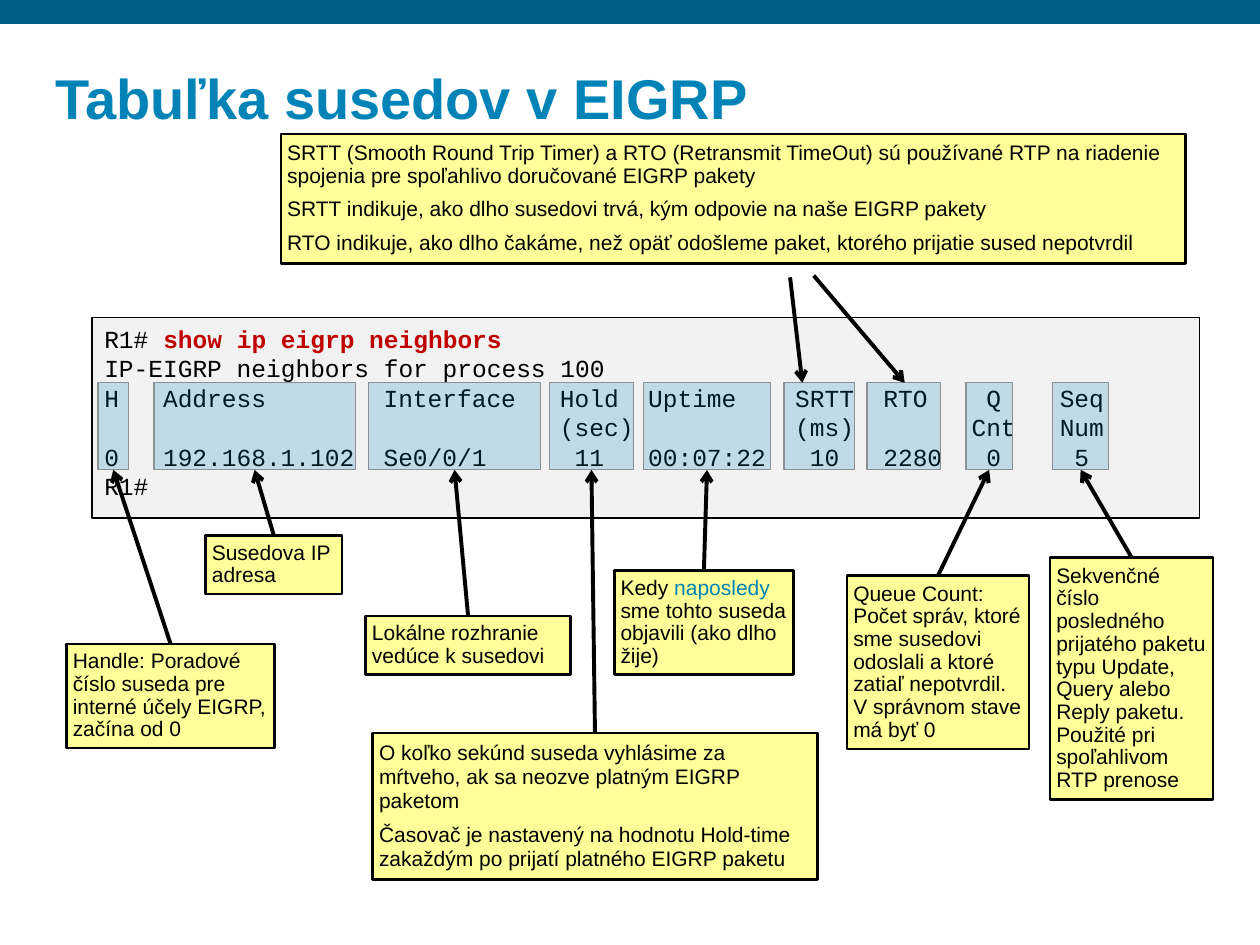
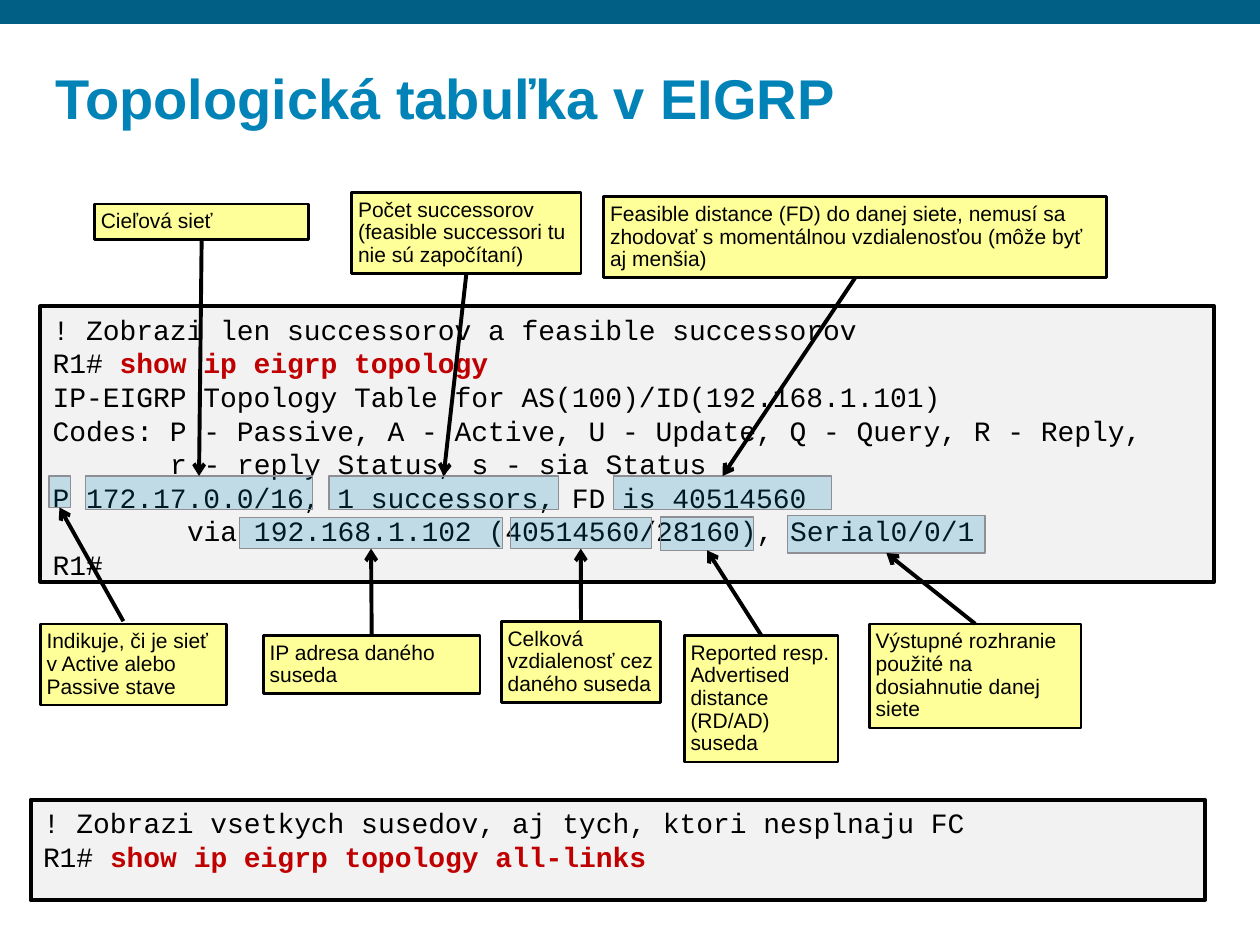
from lxml import etree
from pptx import Presentation
from pptx.dml.color import RGBColor
from pptx.enum.shapes import MSO_CONNECTOR, MSO_SHAPE
from pptx.enum.text import MSO_ANCHOR, MSO_AUTO_SIZE, PP_ALIGN
from pptx.oxml.ns import qn
from pptx.util import Pt

RECT = MSO_SHAPE.RECTANGLE
STRAIGHT = MSO_CONNECTOR.STRAIGHT
TOP, MIDDLE, BOTTOM = MSO_ANCHOR.TOP, MSO_ANCHOR.MIDDLE, MSO_ANCHOR.BOTTOM
LEFT = PP_ALIGN.LEFT
FIT, NO_FIT = MSO_AUTO_SIZE.SHAPE_TO_FIT_TEXT, MSO_AUTO_SIZE.NONE
SITE_TOP, SITE_BOTTOM = 0, 2  # connection sites of a rectangle

BLACK = RGBColor(0x00, 0x00, 0x00)
BAND = RGBColor(0x01, 0x5F, 0x85)
BLUE = RGBColor(0x01, 0x83, 0xB7)
RED = RGBColor(0xC0, 0x00, 0x00)
GREY = RGBColor(0x8E, 0x8E, 0x95)
PAPER = RGBColor(0xF2, 0xF2, 0xF2)
YELLOW = RGBColor(0xFF, 0xFF, 0x99)
SANS, MONO = "Arial", "Courier New"
CHAR_WIDTH = 0.6  # monospaced advance, in ems


class Deck:
    """Holds the shared style and the current slide."""

    def __init__(self):
        self.prs = Presentation()
        self.prs.slide_width, self.prs.slide_height = Pt(720), Pt(540)
        self.layout = self.prs.slide_layouts[5]
        self.s = None

    def slide(self, title):
        first = self.s is None
        self.s = self.prs.slides.add_slide(self.layout)
        if first:  # the band belongs to the layout, so every slide shows it
            band = self.box((0, 0, 720, 13.7), BAND)
            self.layout.shapes.element.append(band.element)
        sp = self.s.shapes.title
        sp.left, sp.top, sp.width, sp.height = Pt(25), Pt(24), Pt(669), Pt(54)
        tf = self.frame(sp, BOTTOM, 6.5, 3)
        tf.auto_size = NO_FIT
        p = tf.paragraphs[0]
        p.alignment, p.line_spacing = LEFT, 0.9
        self.run(p, title, SANS, 32, BLUE, True)

    def box(self, at, fill, line=None, weight=0.75):
        sp = self.s.shapes.add_shape(RECT, *map(Pt, at))
        sp.shadow.inherit = False
        sp.fill.solid()
        sp.fill.fore_color.rgb = fill
        if line is None:
            sp.line.fill.background()
        else:
            sp.line.color.rgb, sp.line.width = line, Pt(weight)
        return sp

    def frame(self, sp, anchor, side, edge):
        tf = sp.text_frame
        tf.word_wrap, tf.vertical_anchor = True, anchor
        tf.margin_left = tf.margin_right = Pt(side)
        tf.margin_top = tf.margin_bottom = Pt(edge)
        return tf

    def paragraphs(self, tf, items):
        for i, item in enumerate(items):
            p = tf.add_paragraph() if i else tf.paragraphs[0]
            p.alignment = LEFT
            yield i, p, item

    def run(self, p, text, font, size, color=BLACK, bold=False):
        r = p.add_run()
        r.text = text
        r.font.name, r.font.size, r.font.bold = font, Pt(size), bold
        r.font.color.rgb = color

    def terminal(self, at, size, weight, lines):
        """A line is plain text, a (prompt, command) pair or a list of (column, text)."""
        sp = self.box(at, PAPER, BLACK, weight)
        tf = self.frame(sp, TOP, 7.2, 3.6)
        for _, p, line in self.paragraphs(tf, lines):
            if isinstance(line, tuple):
                self.run(p, line[0], MONO, size)
                self.run(p, line[1], MONO, size, RED, True)
            elif isinstance(line, list):
                self.tab_stops(p, [col * CHAR_WIDTH * size for col, _ in line if col])
                text = "".join("\t" * (col > 0) + word for col, word in line)
                self.run(p, text, MONO, size)
            else:
                self.run(p, line, MONO, size)

    def tab_stops(self, p, stops):
        pPr = p._p.get_or_add_pPr()
        tabs = etree.SubElement(pPr, qn("a:tabLst"))
        for stop in stops:
            etree.SubElement(tabs, qn("a:tab"), pos=str(Pt(stop)), algn="l")

    def highlight(self, at):
        sp = self.box(at, BLUE, GREY)
        color = sp.fill._xPr.find(qn("a:solidFill"))[0]
        etree.SubElement(color, qn("a:alpha"), val="20000")
        return sp

    def note(self, at, *texts, spacing=0.9):
        """A text is a string or a list of (text, colour) runs."""
        sp = self.box(at, YELLOW, BLACK, 1.5)
        tf = self.frame(sp, MIDDLE, 3.6, 3.6)
        tf.auto_size = FIT
        for i, p, text in self.paragraphs(tf, texts):
            p.line_spacing = spacing
            if i:
                p.space_before = Pt(6)
            for part, color in [(text, BLACK)] if isinstance(text, str) else text:
                self.run(p, part, SANS, 12, color)
        return sp

    def arrow(self, x1, y1, x2, y2):
        c = self.s.shapes.add_connector(STRAIGHT, *map(Pt, (x1, y1, x2, y2)))
        c.line.color.rgb, c.line.width = BLACK, Pt(2.25)
        ln = c.line._get_or_add_ln()
        etree.SubElement(ln, qn("a:tailEnd"), type="arrow")
        etree.SubElement(c.element.spPr, qn("a:effectLst"))
        return c

    def link(self, note, target):
        """Arrow glued to the facing edges of a note and its target."""
        below = note.top > target.top
        c = self.arrow(0, 0, 10, 10)
        c.begin_connect(note, SITE_TOP if below else SITE_BOTTOM)
        c.end_connect(target, SITE_BOTTOM if below else SITE_TOP)


d = Deck()

# Slide 1: neighbour table
d.slide("Tabuľka susedov v EIGRP")
d.terminal((52.5, 181.5, 633, 114.5), 14, 0.75, [
    ("R1# ", "show ip eigrp neighbors"),
    "IP-EIGRP neighbors for process 100",
    [(0, "H"), (4, "Address"), (19, "Interface"), (31, "Hold"), (37, "Uptime"),
     (47, "SRTT"), (53, "RTO"), (60, "Q"), (65, "Seq")],
    [(31, "(sec)"), (47, "(ms)"), (59, "Cnt"), (65, "Num")],
    [(0, "0"), (4, "192.168.1.102"), (19, "Se0/0/1"), (32, "11"), (37, "00:07:22"),
     (48, "10"), (53, "2280"), (60, "0"), (66, "5")],
    "R1#",
])

# Highlighted columns: left and width
COLUMNS = {
    "handle": (56, 17.5), "address": (88, 115), "interface": (210.5, 98.5),
    "hold": (314, 48), "uptime": (367.5, 73), "srtt": (448, 40.5),
    "rto": (495.5, 42), "queue": (552, 26.5), "seq": (601.5, 32),
}
column = {name: d.highlight((x, 218.75, w, 49.75)) for name, (x, w) in COLUMNS.items()}

# Notes on the columns
d.note((160.5, 76.5, 517, 74),
       "SRTT (Smooth Round Trip Timer) a RTO (Retransmit TimeOut) sú používané RTP "
       "na riadenie spojenia pre spoľahlivo doručované EIGRP pakety",
       "SRTT indikuje, ako dlho susedovi trvá, kým odpovie na naše EIGRP pakety",
       "RTO indikuje, ako dlho čakáme, než opäť odošleme paket, ktorého prijatie "
       "sused nepotvrdil")
hold_note = d.note(
    (213, 419, 254, 83.5),
    "O koľko sekúnd suseda vyhlásime za mŕtveho, ak sa neozve platným EIGRP paketom",
    "Časovač je nastavený na hodnotu Hold-time zakaždým po prijatí platného EIGRP paketu",
    spacing=0.95)
d.link(hold_note, column["hold"])
for name, at, text in [
    ("handle", (38, 368, 119, 59.5),
     "Handle: Poradové číslo suseda pre interné účely EIGRP, začína od 0"),
    ("address", (117.5, 306, 78, 33.5), "Susedova IP adresa"),
    ("interface", (209, 352, 117, 33.5), "Lokálne rozhranie vedúce k susedovi"),
    ("uptime", (351, 326, 102.5, 59.5),
     [("Kedy ", BLACK), ("naposledy ", BLUE),
      ("sme tohto suseda objavili (ako dlho žije)", BLACK)]),
    ("queue", (484, 329, 104, 99),
     "Queue Count: Počet správ, ktoré sme susedovi odoslali a ktoré zatiaľ "
     "nepotvrdil. V správnom stave má byť 0"),
    ("seq", (600, 318.5, 93.2, 138.5),
     "Sekvenčné číslo posledného prijatého paketu typu Update, Query alebo Reply "
     "paketu. Použité pri spoľahlivom RTP prenose"),
]:
    d.link(d.note(at, text), column[name])
d.arrow(451.5, 158.5, 458.5, 218.75)
d.arrow(465, 157.5, 517, 218.75)

# Slide 2: topology table
d.slide("Topologická tabuľka v EIGRP")
d.terminal((23, 175, 671, 157.5), 16, 2.25, [
    "! Zobrazi len successorov a feasible successorov",
    ("R1# ", "show ip eigrp topology"),
    "IP-EIGRP Topology Table for AS(100)/ID(192.168.1.101)",
    "Codes: P - Passive, A - Active, U - Update, Q - Query, R - Reply,",
    [(7, "r - reply Status, s - sia Status")],
    "P 172.17.0.0/16, 1 successors, FD is 40514560",
    [(8, "via 192.168.1.102 (40514560/28160), Serial0/0/1")],
    "R1#",
])
d.terminal((17.5, 457, 671, 57.5), 16, 2.25, [
    "! Zobrazi vsetkych susedov, aj tych, ktori nesplnaju FC",
    ("R1# ", "show ip eigrp topology all-links"),
])

# State flag, whose arrow starts beside the middle of its note
d.highlight((28, 272, 12.2, 18))
d.note((23, 356.5, 106.5, 46.5), "Indikuje, či je sieť v Active alebo Passive stave")
d.arrow(70.5, 355, 34, 290)

# Highlighted fields with their notes
for field, at, text in [
    ((49, 272, 129.5, 19.4), (54, 116.5, 122.5, 20.2), "Cieľová sieť"),
    ((188, 272, 131, 19.4), (201, 110, 131, 46.5),
     "Počet successorov (feasible successori tu nie sú započítaní)"),
    ((350.6, 272, 124.6, 19.4), (345, 112.3, 287.3, 46.5),
     "Feasible distance (FD) do danej siete, nemusí sa zhodovať s momentálnou "
     "vzdialenosťou (môže byť aj menšia)"),
    ((136.8, 295.5, 150.5, 18), (150.5, 363, 123.8, 33.5), "IP adresa daného suseda"),
    ((291.6, 295.5, 80.6, 18), (286.5, 355, 91, 46.5),
     "Celková vzdialenosť cez daného suseda"),
    ((377.3, 295.5, 53.5, 19), (391, 363, 88, 72.5),
     "Reported resp. Advertised distance (RD/AD) suseda"),
    ((450, 294.5, 113, 21.5), (496.8, 356.5, 121, 59.5),
     "Výstupné rozhranie použité na dosiahnutie danej siete"),
]:
    d.link(d.note(at, text), d.highlight(field))

d.prs.save("out.pptx")
